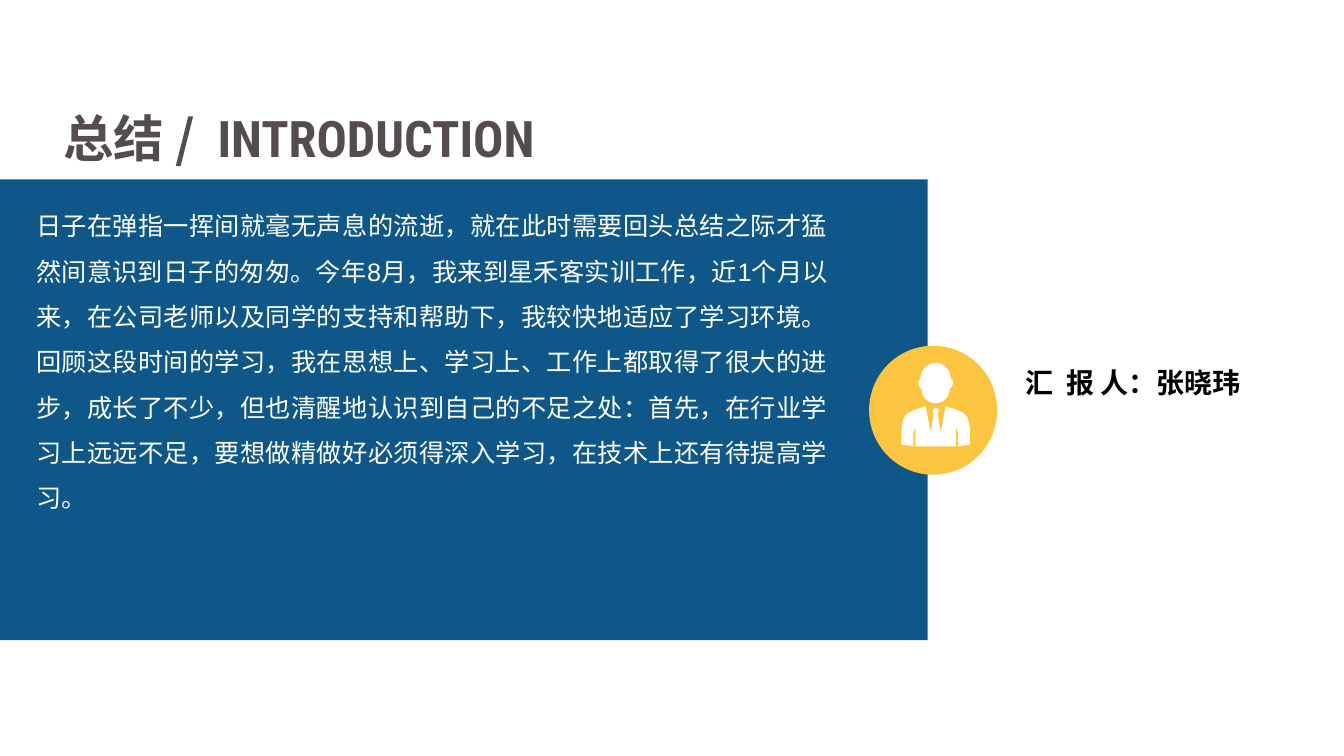
from dataclasses import dataclass
from math import cos, pi, sin

from lxml import etree
from pptx import Presentation
from pptx.dml.color import RGBColor
from pptx.enum.shapes import MSO_SHAPE
from pptx.enum.text import MSO_AUTO_SIZE, PP_ALIGN
from pptx.oxml.ns import qn
from pptx.shapes.autoshape import Shape
from pptx.slide import Slide
from pptx.util import Inches, Pt

RECTANGLE, OVAL = MSO_SHAPE.RECTANGLE, MSO_SHAPE.OVAL
LEFT, CENTER, JUSTIFY = PP_ALIGN.LEFT, PP_ALIGN.CENTER, PP_ALIGN.JUSTIFY
GROW = MSO_AUTO_SIZE.SHAPE_TO_FIT_TEXT

COLORS = {
    "panel": "0E5788",
    "badge": "FCC540",
    "white": "FFFFFF",
    "title": "554C51",
    "black": "000000",
}
CJK, HEADING, BODY = "Noto Sans CJK SC", "Roboto Condensed", "Arial"

Point = tuple[float, float]
Box = tuple[float, float, float, float]


@dataclass
class Run:
    text: str
    font: str = CJK
    spacing: float = 0  # extra points after each character


@dataclass
class Caption:
    box: Box
    runs: list[Run]
    size: int
    color: str
    margins: Point = (0.1, 0.05)
    align: PP_ALIGN = LEFT
    bold: bool = True
    wrap: bool = False
    line_spacing: float = 1.0


CAPTIONS = [
    Caption((0.11, 0.99, 5.71, 0.74),
            [Run("总结 /"), Run(" ", spacing=8), Run("INTRODUCTION", HEADING)],
            36, "title", margins=(0.13, 0.07), align=CENTER),
    Caption((10.1, 3.59, 2.37, 0.41),
            [Run("汇"), Run(" ", spacing=4.5), Run("报 人：张晓玮")],
            20, "black", margins=(0.07, 0.04)),
    Caption((0.26, 1.89, 8.05, 4.34),
            [Run("日子在弹指一挥间就毫无声息的流逝，就在此时需要回头总结之际才猛"
                 "然间意识到日子的匆匆。今年8月，我来到星禾客实训工作，近1个月"
                 "以来，在公司老师以及同学的支持和帮助下，我较快地适应了学习环境。"
                 "回顾这段时间的学习，我在思想上、学习上、工作上都取得了很大的进"
                 "步，成长了不少，但也清醒地认识到自己的不足之处：首先，在行业学"
                 "习上远远不足，要想做精做好必须得深入学习，在技术上还有待提高学"
                 "习。", BODY)],
            18, "white", align=JUSTIFY, bold=False, wrap=True, line_spacing=1.5),
]

# Right halves of the figure: distance from its axis, and height on the slide
FIGURE_AXIS = 9.28
JACKET = [
    (0.01, 4.05), (0.03, 4.07), (0.02, 4.11), (0.05, 4.29), (0.1, 4.03),
    (0.22, 4.07), (0.28, 4.1), (0.32, 4.15), (0.34, 4.25), (0.34, 4.41),
    (0.22, 4.43), (0.22, 4.29), (0.2, 4.23), (0.2, 4.43),
]
EAR = [(0.17, 3.78), (0.17, 3.81), (0.16, 3.84)]


def quarter_arc(center_y: float, rx: float, ry: float, start: float) -> list[Point]:
    """Points of a quarter ellipse on the axis, clockwise from the start angle."""
    angles = [start + pi / 2 * step / 12 for step in range(13)]
    return [(rx * cos(angle), center_y + ry * sin(angle)) for angle in angles]


def paint(shape: Shape, color: str) -> None:
    shape.shadow.inherit = False
    shape.fill.solid()
    shape.fill.fore_color.rgb = RGBColor.from_string(COLORS[color])
    shape.line.fill.background()


def add_preset(slide: Slide, preset: MSO_SHAPE, box: Box, color: str) -> None:
    paint(slide.shapes.add_shape(preset, *map(Inches, box)), color)


def add_mirrored(slide: Slide, half: list[Point], color: str) -> None:
    """Draw an outline made of a right half and its reflection."""
    outline = [(FIGURE_AXIS + dx, y) for dx, y in half]
    outline += [(FIGURE_AXIS - dx, y) for dx, y in reversed(half)]
    points = [(Inches(x), Inches(y)) for x, y in outline]
    builder = slide.shapes.build_freeform(*points[0])
    builder.add_line_segments(points[1:], close=True)
    paint(builder.convert_to_shape(), color)


def add_caption(slide: Slide, caption: Caption) -> None:
    frame = slide.shapes.add_textbox(*map(Inches, caption.box)).text_frame
    frame.word_wrap = caption.wrap
    frame.auto_size = GROW
    frame.margin_left = frame.margin_right = Inches(caption.margins[0])
    frame.margin_top = frame.margin_bottom = Inches(caption.margins[1])
    paragraph = frame.paragraphs[0]
    paragraph.alignment = caption.align
    paragraph.line_spacing = caption.line_spacing
    for part in caption.runs:
        run = paragraph.add_run()
        run.text = part.text
        run.font.name = part.font
        run.font.size = Pt(caption.size)
        run.font.bold = caption.bold
        run.font.color.rgb = RGBColor.from_string(COLORS[caption.color])
        properties = run.font._element
        etree.SubElement(properties, qn("a:ea")).set("typeface", CJK)
        if part.spacing:
            properties.set("spc", str(round(part.spacing * 100)))


def main() -> None:
    presentation = Presentation()
    presentation.slide_width = Inches(13.33)
    presentation.slide_height = Inches(7.5)
    slide = presentation.slides.add_slide(presentation.slide_layouts[6])

    add_preset(slide, RECTANGLE, (0, 1.78, 9.2, 4.57), "panel")
    add_preset(slide, OVAL, (8.62, 3.43, 1.27, 1.28), "badge")
    add_mirrored(slide, JACKET, "white")
    crown = quarter_arc(3.76, 0.15, 0.16, -pi / 2)
    chin = quarter_arc(3.86, 0.14, 0.14, 0)
    add_mirrored(slide, crown + EAR + chin, "white")
    for caption in CAPTIONS:
        add_caption(slide, caption)

    presentation.save("out.pptx")


if __name__ == "__main__":
    main()
